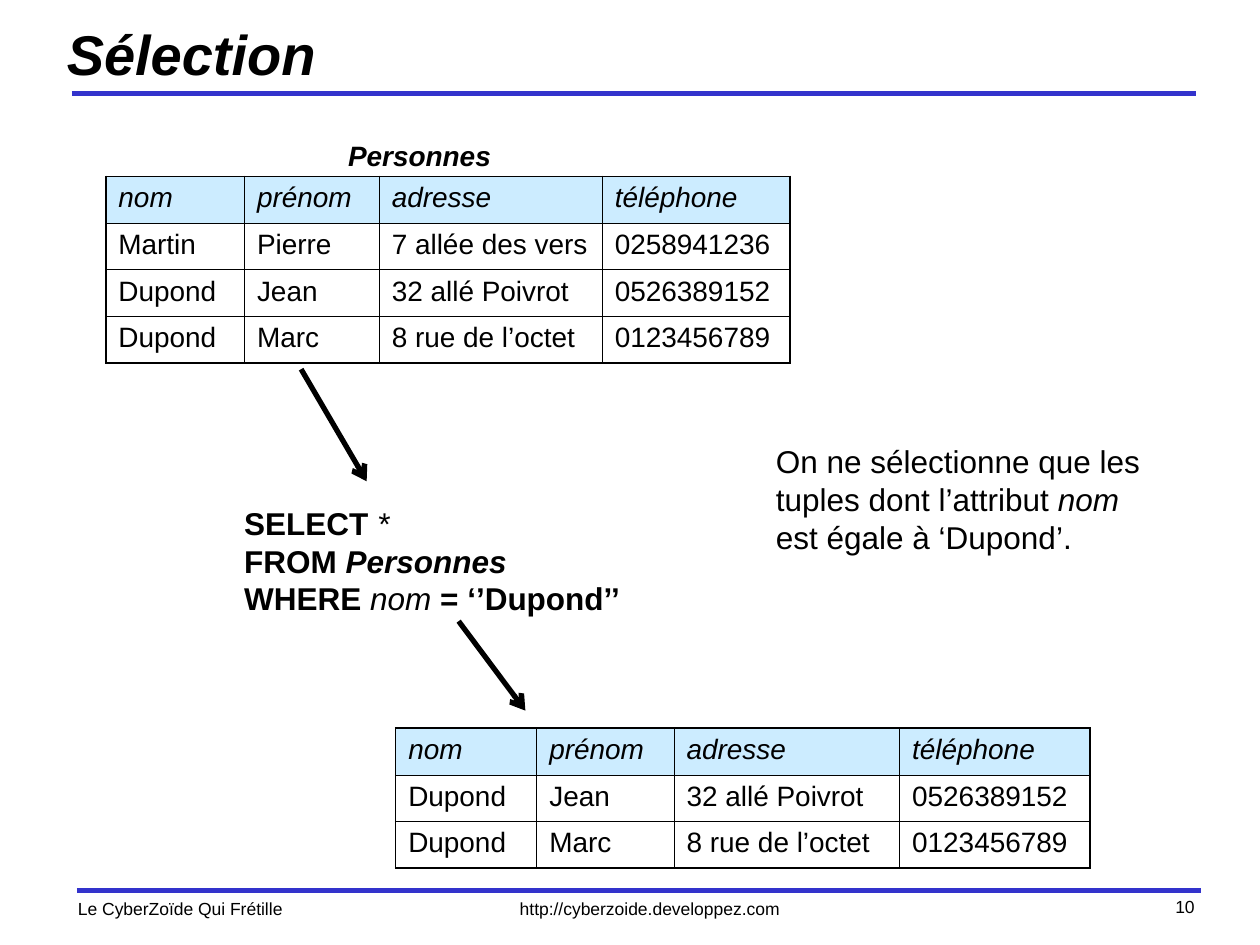
import pptx
import pptx.util
import pptx.dml.color
import pptx.enum.shapes
import pptx.enum.text
import pptx.oxml
import pptx.oxml.ns

Inches, Pt = pptx.util.Inches, pptx.util.Pt
Align = pptx.enum.text.PP_ALIGN
BLACK, BLUE, PALE = "000000", "3333CC", "CCECFF"
NS = pptx.oxml.ns.nsdecls("a")

TITLE = ((0.43, 0.09, 8.96, 0.67), 32, Align.LEFT, [[("Sélection", "bi")]])
TEXTS = [
    ((3.65, 7.08, 3.01, 0.27), 10, Align.CENTER,
     [[("http://cyberzoide.developpez.com", "")]]),
    ((0.52, 7.08, 3.01, 0.27), 10, Align.LEFT,
     [[("Le CyberZoïde Qui Frétille", "")]]),
    ((7.5, 7.06, 2.08, 0.33), 10, Align.RIGHT, [[("10", "")]]),
    ((1.48, 1.05, 3.7, 0.37), 16, Align.CENTER, [[("Personnes", "bi")]]),
    ((1.84, 3.95, 3.63, 1), 18, Align.LEFT, [
        [("SELECT ", "b"), ("*", "i")],
        [("FROM ", "b"), ("Personnes", "bi")],
        [("WHERE ", "b"), ("nom", "i"), (" = ‘’Dupond’’", "b")],
    ]),
    ((6.06, 3.46, 3.19, 1), 18, Align.LEFT, [
        [("On ne sélectionne que les tuples dont l’attribut ", ""),
         ("nom", "i"), (" est égale à ‘Dupond’.", "")],
    ]),
]
HEAD = ("nom", "prénom", "adresse", "téléphone")
PEOPLE = [
    ("Martin", "Pierre", "7 allée des vers", "0258941236"),
    ("Dupond", "Jean", "32 allé Poivrot", "0526389152"),
    ("Dupond", "Marc", "8 rue de l’octet", "0123456789"),
]
FOUND = [row for row in PEOPLE if row[0] == "Dupond"]
TABLES = [
    (0.84, 1.4, (1.1, 1.07, 1.77, 1.49), [HEAD] + PEOPLE),
    (3.14, 5.78, (1.12, 1.09, 1.79, 1.51), [HEAD] + FOUND),
]
ROW = 0.37
RULES = [(0.61, 7.07, 9.53, 7.07), (0.57, 0.74, 9.49, 0.74)]
ARROWS = [(2.39, 2.93, 2.91, 3.82), (3.64, 4.93, 4.17, 5.64)]


def paint(part, tone):
    part.rgb = pptx.dml.color.RGBColor.from_string(tone)


def write(para, runs, size, align):
    para.alignment = align
    for words, style in runs:
        run = para.add_run()
        run.text = words
        font = run.font
        font.name, font.size = "Arial", Pt(size)
        font.bold, font.italic = "b" in style, "i" in style
        paint(font.color, BLACK)


def fill_text(shape, size, align, paras):
    frame = shape.text_frame
    frame.word_wrap = True
    frame.auto_size = pptx.enum.text.MSO_AUTO_SIZE.NONE
    for i, runs in enumerate(paras):
        para = frame.add_paragraph() if i else frame.paragraphs[0]
        write(para, runs, size, align)


def add_line(slide, ends, tone, arrow=False):
    kind = pptx.enum.shapes.MSO_CONNECTOR.STRAIGHT
    line = slide.shapes.add_connector(kind, *map(Inches, ends))
    line.line.width = Pt(3)
    paint(line.line.color, tone)
    props = line._element.spPr
    if arrow:
        props.find(pptx.oxml.ns.qn("a:ln")).append(
            pptx.oxml.parse_xml(f'<a:tailEnd {NS} type="arrow"/>'))
    props.append(pptx.oxml.parse_xml(f"<a:effectLst {NS}/>"))


def edge(cell, outer):
    props = cell._tc.get_or_add_tcPr()
    for side, thick in zip("LRTB", outer):
        width = Pt(1.08 if thick else 0.45)
        props.append(pptx.oxml.parse_xml(
            f'<a:ln{side} {NS} w="{width}"><a:solidFill>'
            f'<a:srgbClr val="{BLACK}"/></a:solidFill></a:ln{side}>'))


def add_grid(slide, left, top, widths, rows):
    box = map(Inches, (left, top, sum(widths), ROW * len(rows)))
    grid = slide.shapes.add_table(len(rows), len(widths), *box).table
    grid.first_row = grid.horz_banding = False
    for col, width in zip(grid.columns, widths):
        col.width = Inches(width)
    for r, row in enumerate(rows):
        grid.rows[r].height = Inches(ROW)
        for c, words in enumerate(row):
            cell = grid.cell(r, c)
            edge(cell, (c == 0, c == len(row) - 1, r == 0, r == len(rows) - 1))
            if r == 0:
                cell.fill.solid()
                paint(cell.fill.fore_color, PALE)
            else:
                cell.fill.background()
            style = "" if r else "i"
            write(cell.text_frame.paragraphs[0], [(words, style)], 16, Align.LEFT)


def main():
    deck = pptx.Presentation()
    deck.slide_width, deck.slide_height = Inches(10), Inches(7.5)
    slide = deck.slides.add_slide(deck.slide_layouts[5])
    for ends in RULES:
        add_line(slide, ends, BLUE)
    box, *rest = TITLE
    title = slide.shapes.title
    title.left, title.top, title.width, title.height = map(Inches, box)
    title.text_frame.vertical_anchor = pptx.enum.text.MSO_ANCHOR.MIDDLE
    fill_text(title, *rest)
    for spec in TABLES:
        add_grid(slide, *spec)
    for box, *rest in TEXTS:
        fill_text(slide.shapes.add_textbox(*map(Inches, box)), *rest)
    for ends in ARROWS:
        add_line(slide, ends, BLACK, arrow=True)
    deck.save("out.pptx")


if __name__ == "__main__":
    main()
